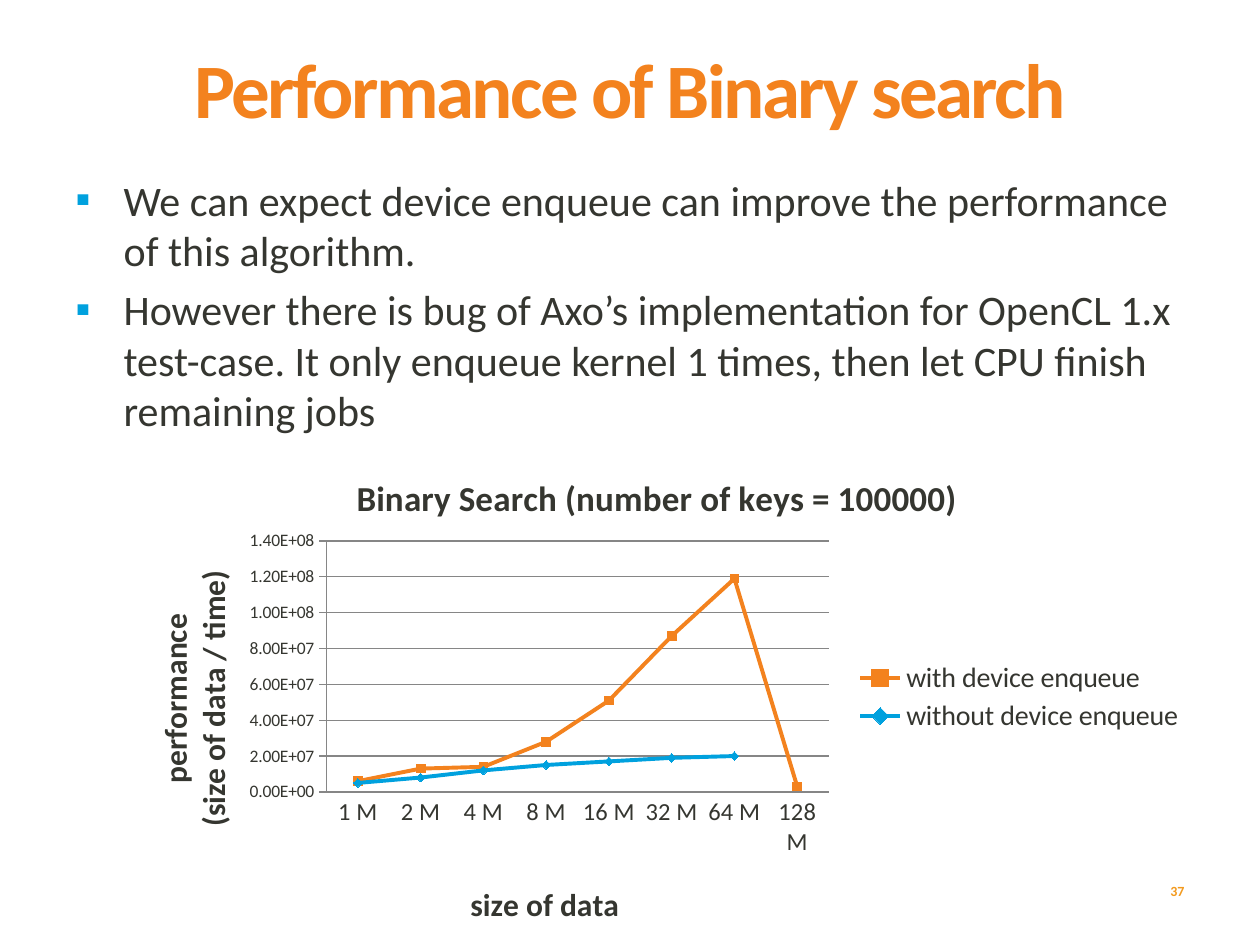
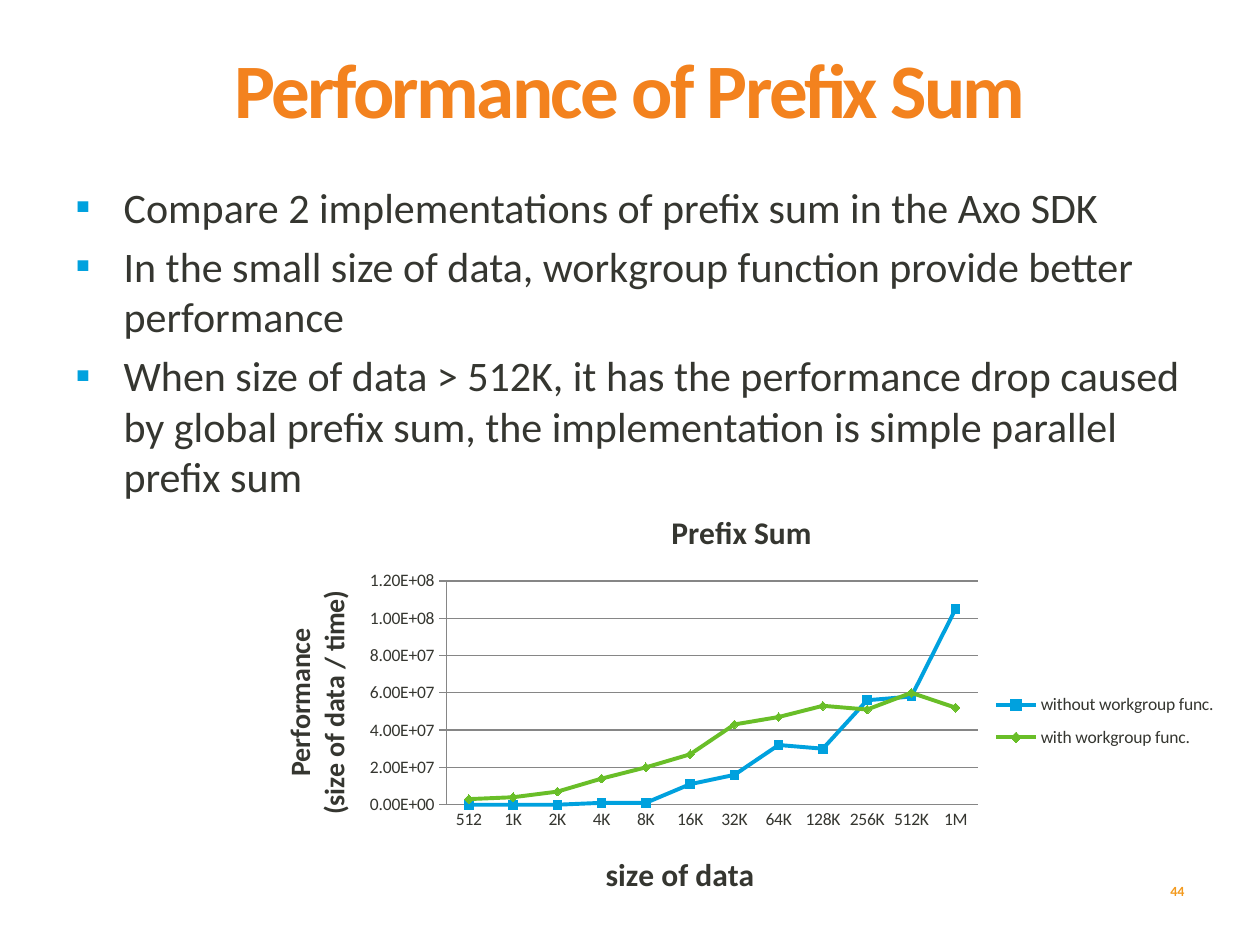
from dataclasses import dataclass

from lxml.etree import SubElement
from pptx import Presentation
from pptx.chart.data import CategoryChartData
from pptx.dml.color import RGBColor
from pptx.enum.chart import XL_CHART_TYPE, XL_LEGEND_POSITION, XL_MARKER_STYLE, XL_TICK_MARK
from pptx.enum.text import MSO_ANCHOR, MSO_AUTO_SIZE, PP_ALIGN
from pptx.oxml import parse_xml
from pptx.oxml.ns import nsdecls, qn
from pptx.util import Pt

PX = 914400 / 126
MILLION = 1_000_000


@dataclass(frozen=True)
class Theme:
    font: str = "Calibri"
    text: str = "353630"
    orange: str = "F3821E"
    number: str = "F39A1E"
    blue: str = "00A1DE"
    green: str = "69BE28"
    grid: str = "868686"
    title_size: int = 44
    body_size: int = 24
    number_size: int = 8
    label_size: int = 10
    axis_title_size: int = 18


THEME = Theme()


@dataclass(frozen=True)
class Box:
    left: int
    top: int
    width: int
    height: int

    def emu(self):
        return [round(side * PX) for side in (self.left, self.top, self.width, self.height)]


@dataclass(frozen=True)
class Label:
    text: str
    size: int
    left: int = None
    top: int = None


@dataclass(frozen=True)
class LineChart:
    box: Box
    plot: Box
    legend: Box
    title: Label
    category_title: Label
    value_title: Label
    category_size: int
    legend_size: int
    maximum: int
    categories: list
    series: list


TITLE_BOX = Box(63, 59, 1134, 156)
NUMBER_BOX = Box(1051, 866, 146, 50)


def style_font(font, size, color=THEME.text, bold=False):
    font.name = THEME.font
    font.size = Pt(size)
    font.bold = bold
    font.color.rgb = RGBColor.from_string(color)


def style_paragraph(para, size, color=THEME.text, bold=False):
    for span in para.runs:
        style_font(span.font, size, color, bold)


def place(shape, box):
    shape.left, shape.top, shape.width, shape.height = box.emu()


def add_title(page, text):
    title = page.shapes.title
    place(title, TITLE_BOX)
    frame = title.text_frame
    frame.text = text
    frame.auto_size = MSO_AUTO_SIZE.NONE
    frame.vertical_anchor = MSO_ANCHOR.TOP
    frame.margin_top = 0
    para = frame.paragraphs[0]
    para.alignment = PP_ALIGN.CENTER
    para.line_spacing = 0.8
    style_paragraph(para, THEME.title_size, THEME.orange, True)
    para.runs[0]._r.get_or_add_rPr().set("spc", "-150")


def add_number(page, number):
    frame = page.shapes.add_textbox(*NUMBER_BOX.emu()).text_frame
    frame.text = str(number)
    frame.word_wrap = True
    frame.vertical_anchor = MSO_ANCHOR.MIDDLE
    para = frame.paragraphs[0]
    para.alignment = PP_ALIGN.RIGHT
    style_paragraph(para, THEME.number_size, THEME.number, True)


def add_bullet(para):
    properties = para._p.get_or_add_pPr()
    indent = round(48 * PX)
    properties.set("marL", str(indent))
    properties.set("indent", str(-indent))
    color = SubElement(properties, qn("a:buClr"))
    SubElement(color, qn("a:srgbClr"), val=THEME.blue)
    SubElement(properties, qn("a:buFont"), typeface=THEME.font)
    SubElement(properties, qn("a:buChar"), char="▪")


def add_body(page, box, points):
    body = page.placeholders[1]
    place(body, box)
    frame = body.text_frame
    frame.text = "\n".join(points)
    frame.auto_size = MSO_AUTO_SIZE.NONE
    for index, para in enumerate(frame.paragraphs):
        add_bullet(para)
        para.space_before = Pt(5 if index else 0)
        style_paragraph(para, THEME.body_size)


def set_layout(element, outer, left, top, width=None, height=None, inner=False):
    for layout in element.findall(qn("c:layout")):
        element.remove(layout)
    parts = [("layoutTarget", "inner")] if inner else []
    parts += [("xMode", "edge"), ("yMode", "edge")]
    parts += [("x", round((left - outer.left) / outer.width, 3)),
              ("y", round((top - outer.top) / outer.height, 3))]
    if width:
        parts += [("w", round(width / outer.width, 3)), ("h", round(height / outer.height, 3))]
    content = "".join(f'<c:{name} val="{value}"/>' for name, value in parts)
    layout = parse_xml(
        f'<c:layout {nsdecls("c")}><c:manualLayout>{content}</c:manualLayout></c:layout>')
    overlay = element.find(qn("c:overlay"))
    if overlay is None:
        element.insert(0, layout)
    else:
        overlay.addprevious(layout)


def set_chart_title(title, label, outer, upright=False):
    title.text_frame.text = label.text
    for para in title.text_frame.paragraphs:
        style_paragraph(para, label.size, bold=True)
    if upright:
        frame_properties = title.element.xpath(".//a:bodyPr")[0]
        frame_properties.set("rot", "-5400000")
        frame_properties.set("vert", "horz")
    if label.left is not None:
        set_layout(title.element, outer, label.left, label.top)


def style_axes(chart, design):
    category, value = chart.category_axis, chart.value_axis
    set_chart_title(category.axis_title, design.category_title, design.box)
    set_chart_title(value.axis_title, design.value_title, design.box, upright=True)
    category.major_tick_mark = XL_TICK_MARK.NONE
    value.major_tick_mark = XL_TICK_MARK.CROSS
    value.has_major_gridlines = True
    value.minimum_scale = 0
    value.maximum_scale = design.maximum * MILLION
    value.major_unit = 20 * MILLION
    value.tick_labels.number_format = "0.00E+00"
    value.tick_labels.number_format_is_linked = False
    style_font(category.tick_labels.font, design.category_size)
    style_font(value.tick_labels.font, THEME.label_size)
    for line in (category.format.line, value.format.line, value.major_gridlines.format.line):
        line.color.rgb = RGBColor.from_string(THEME.grid)
        line.width = Pt(0.75)


def style_series(chart, design):
    markers = (XL_MARKER_STYLE.SQUARE, XL_MARKER_STYLE.DIAMOND)
    for series, marker, (_, color, _) in zip(chart.plots[0].series, markers, design.series):
        rgb = RGBColor.from_string(color)
        series.smooth = False
        series.format.line.color.rgb = rgb
        series.format.line.width = Pt(2.25)
        series.marker.style = marker
        series.marker.size = 5
        series.marker.format.fill.solid()
        series.marker.format.fill.fore_color.rgb = rgb
        series.marker.format.line.color.rgb = rgb


def add_line_chart(page, design):
    data = CategoryChartData()
    data.categories = design.categories
    for name, _, values in design.series:
        data.add_series(name, [None if v is None else v * MILLION for v in values])
    chart = page.shapes.add_chart(XL_CHART_TYPE.LINE_MARKERS, *design.box.emu(), data).chart
    style_font(chart.font, THEME.label_size)
    chart.plots[0].vary_by_categories = False
    chart.has_title = True
    set_chart_title(chart.chart_title, design.title, design.box)
    style_axes(chart, design)
    style_series(chart, design)
    chart.has_legend = True
    chart.legend.position = XL_LEGEND_POSITION.RIGHT
    chart.legend.include_in_layout = False
    style_font(chart.legend.font, design.legend_size)
    plot, legend = design.plot, design.legend
    set_layout(chart.element.xpath("c:chart/c:plotArea")[0], design.box,
               plot.left, plot.top, plot.width, plot.height, inner=True)
    set_layout(chart.element.xpath("c:chart/c:legend")[0], design.box,
               legend.left, legend.top, legend.width, legend.height)


def add_performance_page(deck, title, number, body_box, points, design):
    page = deck.slides.add_slide(deck.slide_layouts[1])
    add_title(page, title)
    add_number(page, number)
    add_body(page, body_box, points)
    add_line_chart(page, design)


BINARY_SEARCH = LineChart(
    box=Box(117, 450, 1080, 495),
    plot=Box(327, 541, 502, 251),
    legend=Box(853, 657, 334, 80),
    title=Label("Binary Search (number of keys = 100000)", 20),
    category_title=Label("size of data", THEME.axis_title_size, 465, 877),
    value_title=Label("performance\n(size of data / time)", THEME.axis_title_size, 150, 567),
    category_size=14,
    legend_size=16,
    maximum=140,
    categories=[f"{2 ** power} M" for power in range(8)],
    series=[
        ("with device enqueue", THEME.orange, [6, 13, 14, 28, 51, 87, 119, 3]),
        ("without device enqueue", THEME.blue, [5, 8, 12, 15, 17, 19, 20, None]),
    ],
)

PREFIX_SUM = LineChart(
    box=Box(247, 490, 989, 425),
    plot=Box(447, 581, 531, 224),
    legend=Box(990, 682, 230, 78),
    title=Label("Prefix Sum", 18),
    category_title=Label("size of data", THEME.axis_title_size, 600, 847),
    value_title=Label("Performance\n(size of data / time)", 16, 278, 587),
    category_size=THEME.label_size,
    legend_size=THEME.label_size,
    maximum=120,
    categories=["512", *(f"{2 ** power}K" for power in range(10)), "1M"],
    series=[
        ("without workgroup func.", THEME.blue, [0, 0, 0, 1, 1, 11, 16, 32, 30, 56, 58, 105]),
        ("with workgroup func.", THEME.green, [3, 4, 7, 14, 20, 27, 43, 47, 53, 51, 60, 52]),
    ],
)


def main():
    deck = Presentation()
    deck.slide_width, deck.slide_height = round(1260 * PX), round(945 * PX)
    add_performance_page(
        deck, "Performance of Binary search", 37, Box(63, 168, 1134, 684),
        ["We can expect device enqueue can improve the performance of this algorithm.",
         "However there is bug of Axo’s implementation for OpenCL 1.x test-case. "
         "It only enqueue kernel 1 times, then let CPU finish remaining jobs"],
        BINARY_SEARCH)
    add_performance_page(
        deck, "Performance of Prefix Sum", 44, Box(63, 175, 1134, 675),
        ["Compare 2 implementations of prefix sum in the Axo SDK",
         "In the small size of data, workgroup function provide better performance",
         "When size of data > 512K, it has the performance drop caused by global "
         "prefix sum, the implementation is simple parallel prefix sum"],
        PREFIX_SUM)
    deck.save("out.pptx")


if __name__ == "__main__":
    main()
